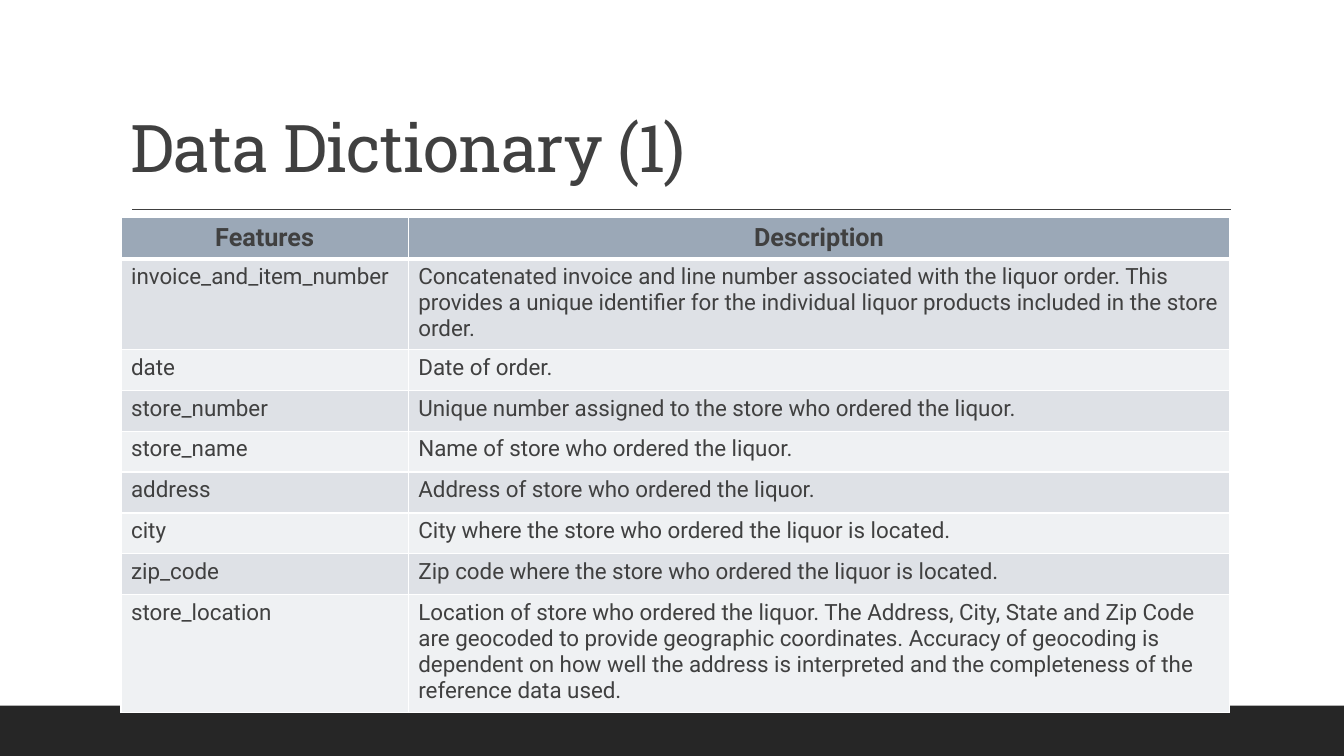
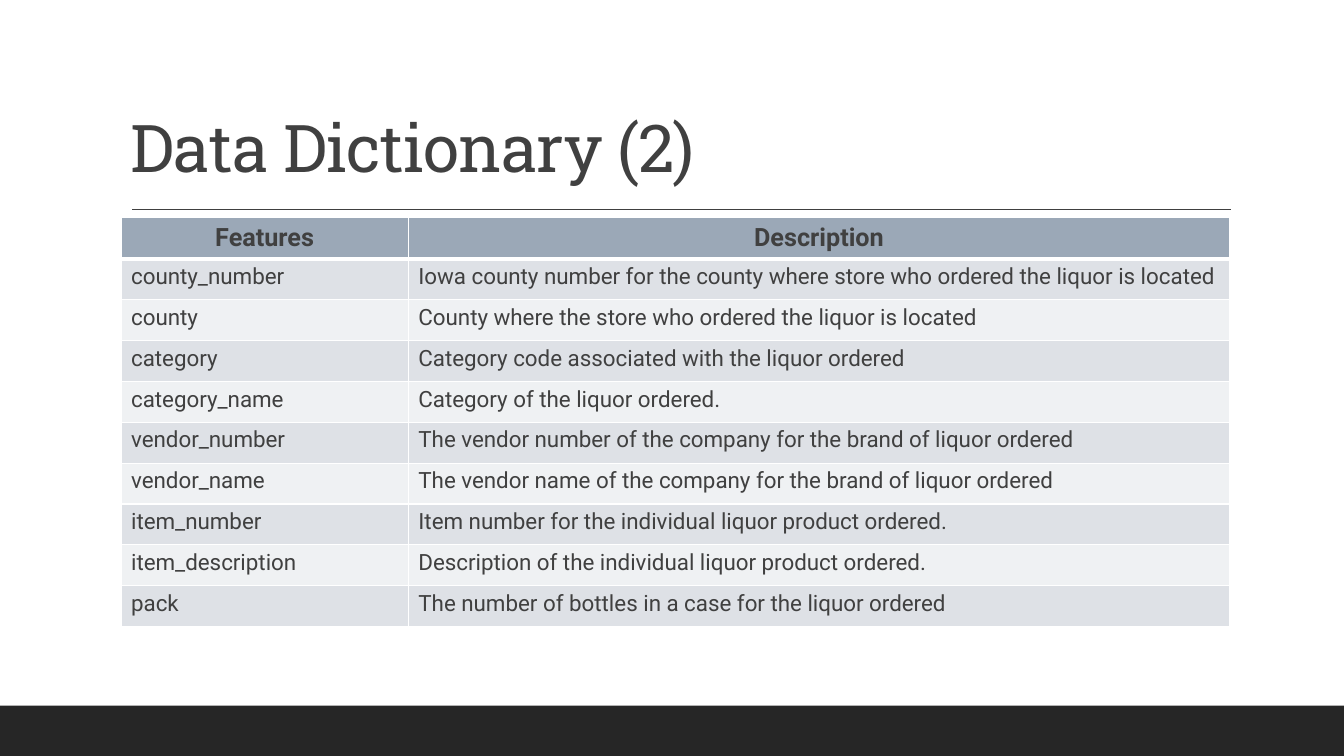
"""Build two data dictionary slides with a shared title, rule, band and table style."""
from dataclasses import dataclass

from lxml.etree import SubElement
from pptx import Presentation
from pptx.dml.color import RGBColor
from pptx.enum.shapes import MSO_CONNECTOR, MSO_SHAPE
from pptx.enum.text import MSO_ANCHOR, PP_ALIGN
from pptx.oxml import parse_xml
from pptx.oxml.ns import nsdecls, qn
from pptx.util import Cm, Pt


@dataclass(frozen=True)
class Theme:
    text: RGBColor = RGBColor.from_string("404040")
    band: RGBColor = RGBColor.from_string("262626")
    header: RGBColor = RGBColor.from_string("9BA8B7")
    stripes: tuple = (RGBColor.from_string("EFF1F3"), RGBColor.from_string("DEE1E6"))
    border: str = "FFFFFF"
    title_font: str = "Roboto Slab"
    body_font: str = "Roboto"
    title_size: Pt = Pt(47)
    header_size: Pt = Pt(18)
    body_size: Pt = Pt(16)


THEME = Theme()
HEADINGS = ("Features", "Description")
DICTIONARIES = {
    "Data Dictionary (1)": [
        ("invoice_and_item_number",
         "Concatenated invoice and line number associated with the liquor order. "
         "This provides a unique identifier for the individual liquor products "
         "included in the store order."),
        ("date", "Date of order."),
        ("store_number", "Unique number assigned to the store who ordered the liquor."),
        ("store_name", "Name of store who ordered the liquor."),
        ("address", "Address of store who ordered the liquor."),
        ("city", "City where the store who ordered the liquor is located."),
        ("zip_code", "Zip code where the store who ordered the liquor is located."),
        ("store_location",
         "Location of store who ordered the liquor. The Address, City, State and "
         "Zip Code are geocoded to provide geographic coordinates. Accuracy of "
         "geocoding is dependent on how well the address is interpreted and the "
         "completeness of the reference data used."),
    ],
    "Data Dictionary (2)": [
        ("county_number",
         "Iowa county number for the county where store who ordered the liquor is located"),
        ("county", "County where the store who ordered the liquor is located"),
        ("category", "Category code associated with the liquor ordered"),
        ("category_name", "Category of the liquor ordered."),
        ("vendor_number", "The vendor number of the company for the brand of liquor ordered"),
        ("vendor_name", "The vendor name of the company for the brand of liquor ordered"),
        ("item_number", "Item number for the individual liquor product ordered."),
        ("item_description", "Description of the individual liquor product ordered."),
        ("pack", "The number of bottles in a case for the liquor ordered"),
    ],
}
COLUMN_WIDTHS = (Cm(7.24), Cm(20.7))
ROW_HEIGHT = Cm(1.03)
LEFT = Cm(3.05)
CONTENT_WIDTH = sum(COLUMN_WIDTHS)


def format_font(font, name, size, bold=False):
    font.name = name
    font.size = size
    font.bold = bold
    font.color.rgb = THEME.text


def set_borders(cell, row_index):
    properties = cell._tc.get_or_add_tcPr()
    top = 3 if row_index == 1 else 1
    bottom = 3 if row_index == 0 else 1
    for position, (side, width) in enumerate(zip("LRTB", (1, 1, top, bottom))):
        properties.insert(position, parse_xml(
            f'<a:ln{side} {nsdecls("a")} w="{Pt(width)}"><a:solidFill>'
            f'<a:srgbClr val="{THEME.border}"/></a:solidFill></a:ln{side}>'))


presentation = Presentation()
presentation.slide_width = Cm(33.87)
presentation.slide_height = Cm(19.05)

for title, entries in DICTIONARIES.items():
    slide = presentation.slides.add_slide(presentation.slide_layouts[6])

    band = slide.shapes.add_shape(
        MSO_SHAPE.RECTANGLE, 0, Cm(17.78), presentation.slide_width, Cm(1.27))
    band.shadow.inherit = False
    band.fill.solid()
    band.fill.fore_color.rgb = THEME.band
    band.line.fill.background()

    rule = slide.shapes.add_connector(
        MSO_CONNECTOR.STRAIGHT, Cm(3.33), Cm(5.28), Cm(31.01), Cm(5.28))
    rule.line.color.rgb = THEME.text
    rule.line.width = Pt(1)
    SubElement(rule._element.spPr, qn("a:effectLst"))

    title_box = slide.shapes.add_textbox(LEFT, Cm(0.79), CONTENT_WIDTH, Cm(4.04))
    title_frame = title_box.text_frame
    title_frame.text = title
    title_frame.word_wrap = True
    title_frame.vertical_anchor = MSO_ANCHOR.BOTTOM
    paragraph = title_frame.paragraphs[0]
    paragraph.line_spacing = 0.9
    run = paragraph.runs[0]
    format_font(run.font, THEME.title_font, THEME.title_size)
    run.font._element.set("spc", "-50")

    rows = [HEADINGS, *entries]
    table = slide.shapes.add_table(
        len(rows), len(HEADINGS), LEFT, Cm(5.49), CONTENT_WIDTH,
        ROW_HEIGHT * len(rows)).table
    for column, width in zip(table.columns, COLUMN_WIDTHS):
        column.width = width
    for row_index, values in enumerate(rows):
        table.rows[row_index].height = ROW_HEIGHT
        is_header = row_index == 0
        for column_index, value in enumerate(values):
            cell = table.cell(row_index, column_index)
            cell.fill.solid()
            cell.fill.fore_color.rgb = THEME.header if is_header else THEME.stripes[row_index % 2]
            set_borders(cell, row_index)
            cell.text_frame.text = value
            paragraph = cell.text_frame.paragraphs[0]
            paragraph.alignment = PP_ALIGN.CENTER if is_header else PP_ALIGN.LEFT
            size = THEME.header_size if is_header else THEME.body_size
            format_font(paragraph.runs[0].font, THEME.body_font, size, is_header)

presentation.save("out.pptx")
